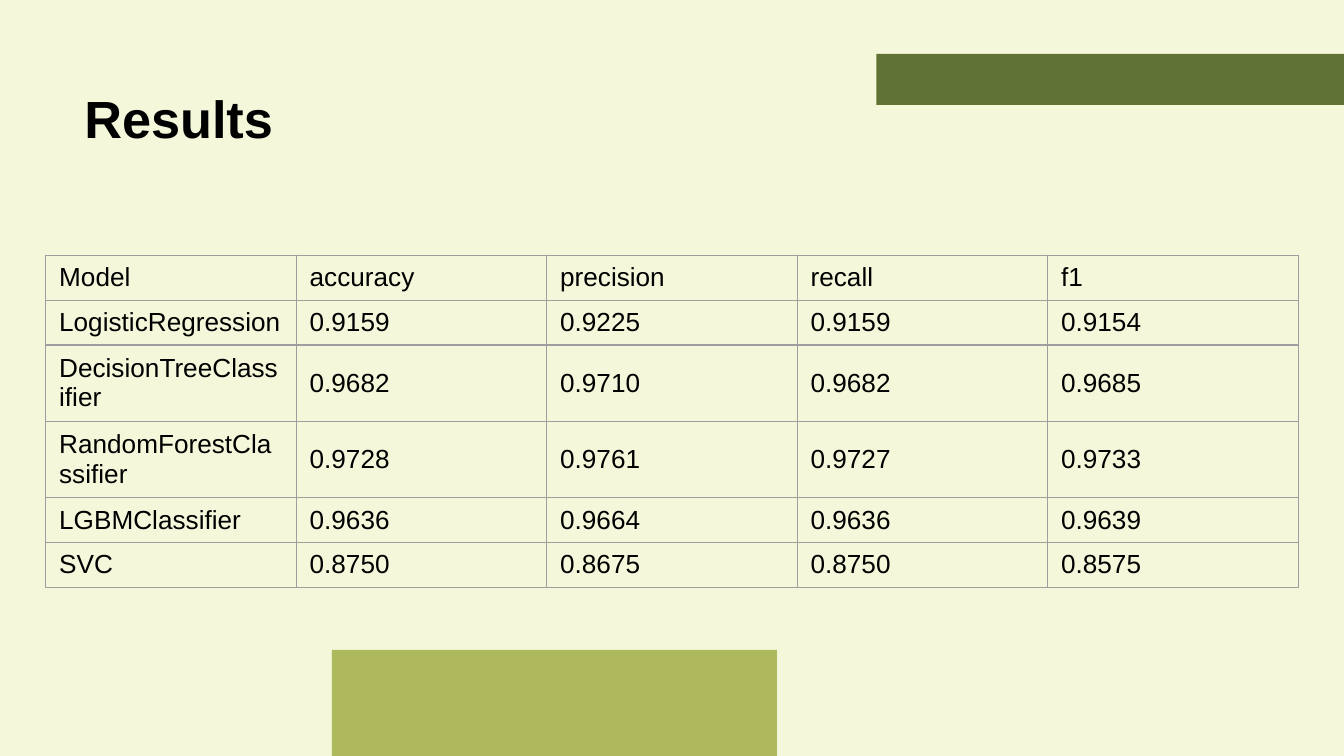
import pptx
import pptx.dml.color
import pptx.enum.shapes
import pptx.enum.text
import pptx.oxml
import pptx.oxml.ns
import pptx.util

WIDTH = 10
HEIGHT = WIDTH * 9 / 16
FONT = "Arial"
BLACK = "000000"
BORDER = "9E9E9E"
RESULTS = [
    ("Model", "accuracy", "precision", "recall", "f1"),
    ("LogisticRegression", "0.9159", "0.9225", "0.9159", "0.9154"),
    ("DecisionTreeClassifier", "0.9682", "0.9710", "0.9682", "0.9685"),
    ("RandomForestClassifier", "0.9728", "0.9761", "0.9727", "0.9733"),
    ("LGBMClassifier", "0.9636", "0.9664", "0.9636", "0.9639"),
    ("SVC", "0.8750", "0.8675", "0.8750", "0.8575"),
]


def set_color(color_format, value):
    color_format.rgb = pptx.dml.color.RGBColor.from_string(value)


def inches(*lengths):
    return [pptx.util.Inches(length) for length in lengths]


def add_run(paragraph, text, size, bold=False):
    run = paragraph.add_run()
    run.text = text
    run.font.name = FONT
    run.font.size = pptx.util.Pt(size)
    run.font.bold = bold
    set_color(run.font.color, BLACK)


def add_block(slide, left, top, width, height, color, opacity):
    shape = slide.shapes.add_shape(
        pptx.enum.shapes.MSO_SHAPE.RECTANGLE, *inches(left, top, width, height)
    )
    shape.shadow.inherit = False
    shape.fill.solid()
    set_color(shape.fill.fore_color, color)
    shape.line.fill.background()
    color_element = shape.element.spPr.find(".//" + pptx.oxml.ns.qn("a:srgbClr"))
    color_element.append(pptx.oxml.parse_xml(
        f'<a:alpha {pptx.oxml.ns.nsdecls("a")} val="{opacity * 1000}"/>'
    ))


def add_title(slide, text):
    box = slide.shapes.add_textbox(*inches(0.53, 0.54, 4.57, 0.64))
    frame = box.text_frame
    frame.word_wrap = True
    frame.margin_left = frame.margin_right = pptx.util.Inches(0.1)
    frame.margin_top = frame.margin_bottom = pptx.util.Inches(0.1)
    add_run(frame.paragraphs[0], text, 28, bold=True)


def add_borders(cell):
    properties = cell._tc.get_or_add_tcPr()
    for side in ("lnL", "lnR", "lnT", "lnB"):
        properties.append(pptx.oxml.parse_xml(
            f'<a:{side} {pptx.oxml.ns.nsdecls("a")} w="{pptx.util.Pt(0.75)}">'
            f'<a:solidFill><a:srgbClr val="{BORDER}"/></a:solidFill></a:{side}>'
        ))


def add_results_table(slide, left, top, width, height):
    columns = len(RESULTS[0])
    frame = slide.shapes.add_table(
        len(RESULTS), columns, *inches(left, top, width, height)
    )
    table = frame.table
    table.first_row = False
    table.horz_banding = False
    for column in table.columns:
        column.width = pptx.util.Inches(width / columns)
    for row, values in zip(table.rows, RESULTS):
        row.height = 0
        for cell, value in zip(row.cells, values):
            cell.vertical_anchor = pptx.enum.text.MSO_ANCHOR.MIDDLE
            add_run(cell.text_frame.paragraphs[0], value, 14)
            add_borders(cell)
            cell.fill.background()
    frame.height = pptx.util.Inches(height)


def main():
    presentation = pptx.Presentation()
    presentation.slide_width, presentation.slide_height = inches(WIDTH, HEIGHT)
    slide = presentation.slides.add_slide(presentation.slide_layouts[6])
    slide.background.fill.solid()
    set_color(slide.background.fill.fore_color, "F4F7DA")
    add_block(slide, 2.47, HEIGHT - 0.79, 3.31, 0.79, "7C8C03", 58)
    add_title(slide, "Results")
    add_block(slide, WIDTH - 3.48, 0.4, 3.48, 0.38, "324A00", 76)
    add_results_table(slide, 0.34, 1.9, WIDTH - 2 * 0.34, 2.47)
    presentation.save("out.pptx")


if __name__ == "__main__":
    main()
